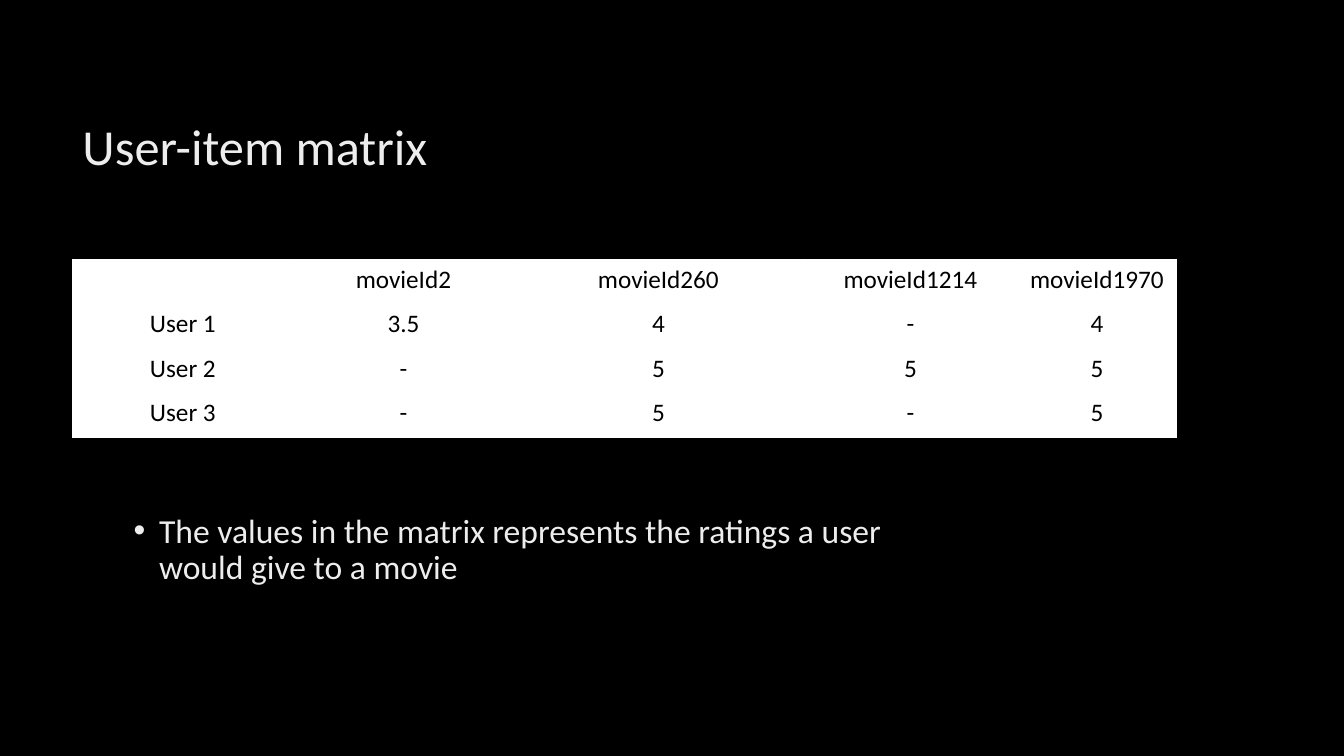
from lxml.etree import SubElement
from pptx import Presentation
from pptx.dml.color import RGBColor
from pptx.enum.text import MSO_ANCHOR, PP_ALIGN
from pptx.oxml.ns import qn
from pptx.util import Cm, Pt

COLORS = {"background": "000000", "text": "EDEDED", "cell": "FFFFFF", "cell text": "000000"}
FONT = "Calibri"


def format_paragraph(paragraph, size, color):
    for run in paragraph.runs:
        run.font.name = FONT
        run.font.size = Pt(size)
        run.font.color.rgb = RGBColor.from_string(COLORS[color])


def add_text(text, left, top, width, height, size, anchor):
    shape = slide.shapes.add_textbox(Cm(left), Cm(top), Cm(width), Cm(height))
    shape.text_frame.word_wrap = True
    shape.text_frame.vertical_anchor = anchor
    shape.text_frame.text = text
    paragraph = shape.text_frame.paragraphs[0]
    paragraph.line_spacing = 0.9
    format_paragraph(paragraph, size, "text")
    return paragraph


presentation = Presentation()
presentation.slide_width = Cm(33.87)
presentation.slide_height = Cm(19.05)
slide = presentation.slides.add_slide(presentation.slide_layouts[6])
slide.background.fill.solid()
slide.background.fill.fore_color.rgb = RGBColor.from_string(COLORS["background"])

# Title
add_text("User-item matrix", 1.83, 1.93, 29.21, 3.68, 36, MSO_ANCHOR.MIDDLE)

# Bulleted explanation
explanation = add_text(
    "The values in the matrix represents the ratings a user would give to a movie",
    3.12, 12.83, 19.63, 3.68, 24, MSO_ANCHOR.TOP)
explanation.space_before = Pt(10)
properties = explanation._p.get_or_add_pPr()
properties.set("marL", str(Cm(0.64)))
properties.set("indent", str(-Cm(0.64)))
SubElement(properties, qn("a:buFont"), typeface="Arial")
SubElement(properties, qn("a:buChar"), char="•")

# Ratings table
ratings = [
    ["", "movieId2", "movieId260", "movieId1214", "movieId1970"],
    ["User 1", "3.5", "4", "-", "4"],
    ["User 2", "-", "5", "5", "5"],
    ["User 3", "-", "5", "-", "5"],
]
column_widths = [5.56, 5.56, 7.29, 5.41, 3.99]
row_height = 1.12
table = slide.shapes.add_table(
    len(ratings), len(column_widths), Cm(1.83), Cm(6.53),
    Cm(sum(column_widths)), Cm(row_height * len(ratings))).table

for column, width in zip(table.columns, column_widths):
    column.width = Cm(width)

for row_index, values in enumerate(ratings):
    table.rows[row_index].height = Cm(row_height)
    for column_index, value in enumerate(values):
        cell = table.cell(row_index, column_index)
        cell.text_frame.text = value
        paragraph = cell.text_frame.paragraphs[0]
        paragraph.alignment = PP_ALIGN.CENTER
        paragraph.font.bold = False
        format_paragraph(paragraph, 18, "cell text")
        for run in paragraph.runs:
            run.font.bold = False

        # Borders, thicker on both sides of the header's lower edge
        cell_properties = cell._tc.get_or_add_tcPr()
        for side in ("L", "R", "T", "B"):
            under_header = (row_index, side) in ((0, "B"), (1, "T"))
            line = SubElement(cell_properties, qn(f"a:ln{side}"),
                              w=str(Pt(3 if under_header else 1)))
            line_fill = SubElement(line, qn("a:solidFill"))
            SubElement(line_fill, qn("a:srgbClr"), val=COLORS["cell"])
        cell.fill.solid()
        cell.fill.fore_color.rgb = RGBColor.from_string(COLORS["cell"])

presentation.save("out.pptx")
